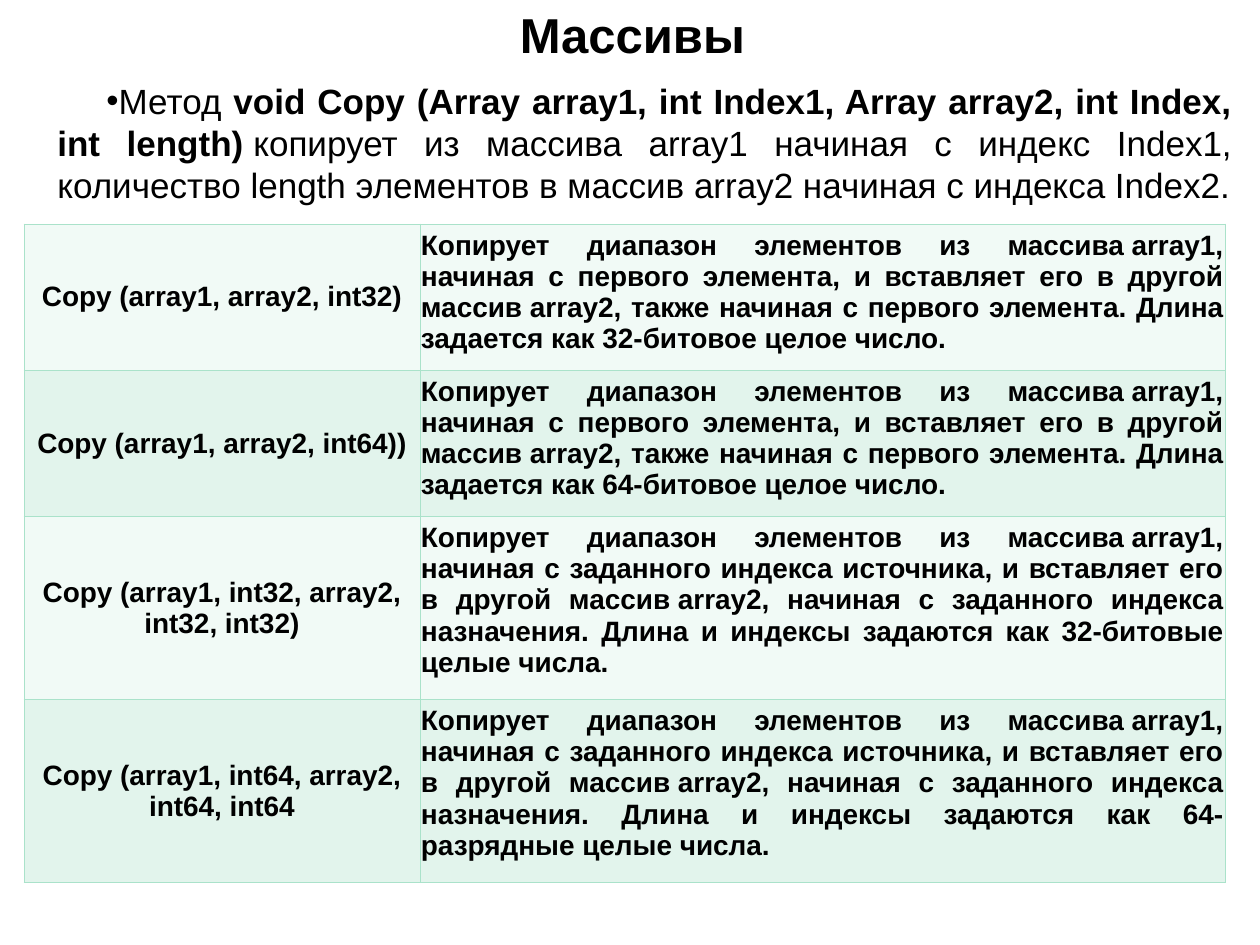
"""Build the slide about the array Copy method and its overloads."""
from typing import NamedTuple

from lxml import etree
from pptx import Presentation
from pptx.dml.color import RGBColor
from pptx.enum.text import MSO_ANCHOR, PP_ALIGN
from pptx.oxml.ns import qn
from pptx.util import Emu, Pt

CENTER, JUSTIFY = PP_ALIGN.CENTER, PP_ALIGN.JUSTIFY
TOP, MIDDLE = MSO_ANCHOR.TOP, MSO_ANCHOR.MIDDLE
EMU_PER_PX = 914400 / 126
FONT = "Arial"
NBSP = chr(160)
COLORS = {"text": "000000", "border": "AAE2CA", "light": "F1FAF6", "dark": "E2F4EC"}
COL_WIDTHS = (396, 805)


class Box(NamedTuple):
    left: int
    top: int
    width: int
    height: int


class Overload(NamedTuple):
    signature: str
    description: str
    height: int


def from_start(number: str) -> str:
    """Describe copying from the first element."""
    return (
        f"Копирует диапазон элементов из массива{NBSP}array1, начиная с первого элемента, "
        f"и вставляет его в другой массив{NBSP}array2, также начиная с первого элемента. "
        f"Длина задается как {number} целое число."
    )


def from_index(numbers: str) -> str:
    """Describe copying from a given index."""
    return (
        f"Копирует диапазон элементов из массива{NBSP}array1, начиная с заданного индекса "
        f"источника, и вставляет его в другой массив{NBSP}array2, начиная с заданного "
        f"индекса назначения. Длина и индексы задаются как {numbers} целые числа."
    )


OVERLOADS = (
    Overload("Copy (array1, array2, int32)", from_start("32-битовое"), 146),
    Overload("Copy (array1, array2, int64))", from_start("64-битовое"), 146),
    Overload("Copy (array1, int32, array2, int32, int32)", from_index("32-битовые"), 183),
    Overload("Copy (array1, int64, array2, int64, int64", from_index("64-разрядные"), 183),
)


def px(value: int) -> Emu:
    """Turn pixels into EMU."""
    return Emu(round(value * EMU_PER_PX))


def style_run(r, size: int, bold: bool) -> None:
    """Set the font of one run."""
    r.font.name = FONT
    r.font.size = Pt(size)
    r.font.bold = bold
    r.font.color.rgb = RGBColor.from_string(COLORS["text"])


def add_text_frame(s, box: Box):
    """Add a wrapping text box and return its text frame."""
    tf = s.shapes.add_textbox(*map(px, box)).text_frame
    tf.word_wrap = True
    return tf


def add_title(s, box: Box, text: str) -> None:
    """Add the centred slide title."""
    tf = add_text_frame(s, box)
    tf.vertical_anchor = MIDDLE
    tf.text = text
    p = tf.paragraphs[0]
    p.alignment = CENTER
    p.line_spacing = 0.93
    style_run(p.runs[0], 28, True)


def add_summary(s, box: Box, parts: tuple[tuple[str, bool], ...]) -> None:
    """Add the bulleted method summary from (text, bold) parts."""
    p = add_text_frame(s, box).paragraphs[0]
    p.alignment = JUSTIFY
    pPr = p._p.get_or_add_pPr()
    pPr.set("marL", str(px(30)))
    pPr.set("indent", str(px(49)))
    etree.SubElement(pPr, qn("a:buFont"), typeface=FONT)
    etree.SubElement(pPr, qn("a:buChar"), char="•")
    for text, bold in parts:
        r = p.add_run()
        r.text = text
        style_run(r, 20, bold)


def add_borders(cell) -> None:
    """Draw a thin line on each side of a cell."""
    tcPr = cell._tc.get_or_add_tcPr()
    for index, side in enumerate(("lnL", "lnR", "lnT", "lnB")):
        ln = etree.Element(qn(f"a:{side}"), w=str(Pt(0.45)))
        fill = etree.SubElement(ln, qn("a:solidFill"))
        etree.SubElement(fill, qn("a:srgbClr"), val=COLORS["border"])
        tcPr.insert(index, ln)


def fill_cell(cell, text: str, align: PP_ALIGN, anchor: MSO_ANCHOR, color: str) -> None:
    """Write and style one table cell."""
    cell.fill.solid()
    cell.fill.fore_color.rgb = RGBColor.from_string(COLORS[color])
    cell.margin_left = cell.margin_right = px(1)
    cell.margin_top = cell.margin_bottom = px(6)
    cell.vertical_anchor = anchor
    cell.text = text
    p = cell.text_frame.paragraphs[0]
    p.alignment = align
    p.line_spacing = 1.0
    style_run(p.runs[0], 16, True)
    add_borders(cell)


def add_overload_table(s, left: int, top: int) -> None:
    """Add the table of Copy overloads."""
    height = sum(o.height for o in OVERLOADS)
    box = Box(left, top, sum(COL_WIDTHS), height)
    table = s.shapes.add_table(len(OVERLOADS), len(COL_WIDTHS), *map(px, box)).table
    for column, width in zip(table.columns, COL_WIDTHS):
        column.width = px(width)
    for i, overload in enumerate(OVERLOADS):
        table.rows[i].height = px(overload.height)
        color = "dark" if i % 2 else "light"
        fill_cell(table.cell(i, 0), overload.signature, CENTER, MIDDLE, color)
        fill_cell(table.cell(i, 1), overload.description, JUSTIFY, TOP, color)


def main() -> None:
    """Build and save the slide."""
    prs = Presentation()
    prs.slide_width, prs.slide_height = px(1260), px(945)
    s = prs.slides.add_slide(prs.slide_layouts[6])
    add_title(s, Box(3, 1, 1259, 72), "Массивы")
    add_summary(s, Box(15, 73, 1230, 833), (
        ("Метод ", False),
        ("void Copy (Array array1, int Index1, Array array2, int Index, "
         f"int length){NBSP}", True),
        ("копирует из массива array1 начиная с индекс Index1, количество length "
         "элементов в массив аrray2 начиная с индекса Index2.", False),
    ))
    add_overload_table(s, 24, 224)
    prs.save("out.pptx")


if __name__ == "__main__":
    main()
